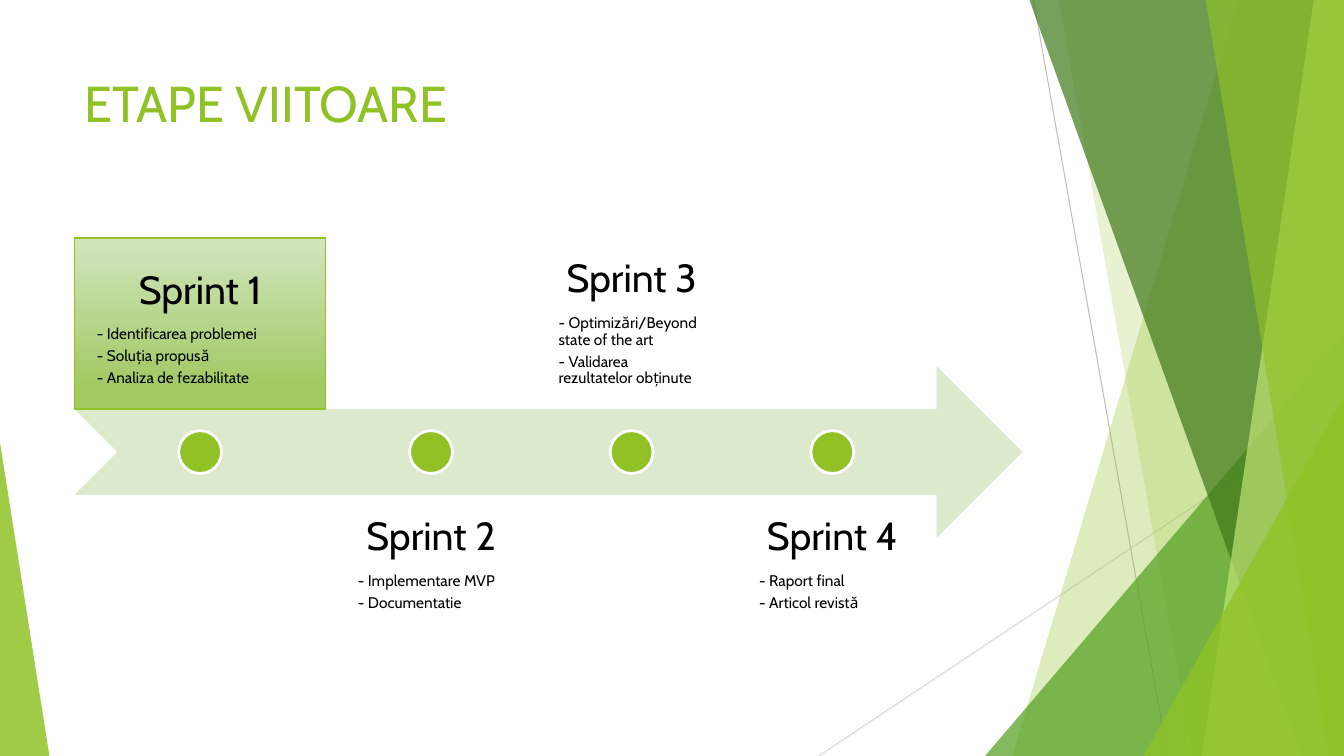
"""Build the sprint timeline slide with its faceted green backdrop."""
from lxml.etree import SubElement
from pptx import Presentation
from pptx.dml.color import RGBColor
from pptx.enum.shapes import MSO_CONNECTOR, MSO_SHAPE
from pptx.enum.text import MSO_ANCHOR, PP_ALIGN
from pptx.oxml.ns import qn
from pptx.util import Inches, Pt

HUES = dict(lime="90C226", leaf="54A021", pine="3F7819", pale="C0E474",
            band="DBE9CD", mist="D3E5BE", moss="A0C962", grey="BFBFBF",
            ash="D9D9D9", white="FFFFFF", black="000000")
FONT = "Cabin"
WIDE, HIGH = 13.33, 7.5

TITLE = "ETAPE VIITOARE"
SPRINTS = [
    ("Sprint 1", 2.49, ["- Identificarea problemei", "- Soluția propusă",
                        "- Analiza de fezabilitate"]),
    ("Sprint 2", 1.89, ["- Implementare MVP", "- Documentatie"]),
    ("Sprint 3", 1.89, ["- Optimizări/Beyond state of the art",
                        "- Validarea rezultatelor obținute"]),
    ("Sprint 4", 1.89, ["- Raport final", "- Articol revistă"]),
]
RAYS = [((10.25, 0), (11.58, HIGH), "grey"), ((WIDE, 4.03), (8.12, HIGH), "ash")]
FACETS = [
    ("slab", 12.28, 10.04, "lime", 30),
    ("slab", 10.5, 11.83, "lime", 20),
    ("peak", 9.77, 3.33, "leaf", 72),
    ("slab", 10.21, 12.91, "pine", 70),
    ("slab", 13.03, 11.92, "pale", 70),
    ("slab", 11.96, 13.18, "lime", 65),
    ("peak", 11.34, 3.93, "lime", 80),
    ("foot", 0.49, 4.39, "lime", 85),
]
LEFT, TOP, SPAN, BAND, GAP, DOT = 0.74, 2.36, 9.4, 1.7, 0.1, 0.425
ROAD = TOP + BAND * 0.75

deck = Presentation()
deck.slide_width, deck.slide_height = Inches(WIDE), Inches(HIGH)
slide = deck.slides.add_slide(deck.slide_layouts[5])
shapes = slide.shapes


def hue(name):
    return RGBColor.from_string(HUES[name])


def box(*sides):
    return [Inches(side) for side in sides]


def paint(shape, fill, line=None, width=1, alpha=100):
    shape.shadow.inherit = False
    shape.fill.solid()
    shape.fill.fore_color.rgb = hue(fill)
    if alpha < 100:
        tint = shape.fill._xPr.find(".//" + qn("a:srgbClr"))
        SubElement(tint, qn("a:alpha"), val=str(alpha * 1000))
    if line:
        shape.line.color.rgb = hue(line)
        shape.line.width = Pt(width)
    else:
        shape.line.fill.background()
    return shape


def write(frame, lines, anchor=MSO_ANCHOR.TOP, pad=None, tight=False):
    frame.word_wrap = True
    frame.vertical_anchor = anchor
    if pad is not None:
        frame.margin_left = frame.margin_right = Inches(pad)
        frame.margin_top = frame.margin_bottom = Inches(pad)
    for spot, (text, size, color, align) in enumerate(lines):
        para = frame.add_paragraph() if spot else frame.paragraphs[0]
        para.alignment = align
        if tight:
            para.line_spacing = 0.9
            para.space_after = Pt(size * 0.35)
        run = para.add_run()
        run.text = text
        run.font.name, run.font.size = FONT, Pt(size)
        run.font.color.rgb = hue(color)


def facet(kind, one, two, color, alpha):
    if kind == "slab":
        pen = shapes.build_freeform(*box(one, 0), scale=1.0)
        pen.add_line_segments([box(WIDE, 0), box(WIDE, HIGH), box(two, HIGH)])
        shape = pen.convert_to_shape()
    else:
        start, end = (one, WIDE) if kind == "peak" else (0, one)
        shape = shapes.add_shape(MSO_SHAPE.ISOSCELES_TRIANGLE,
                                 *box(start, two, end - start, HIGH - two))
        shape.adjustments[0] = 1 if kind == "peak" else 0
    paint(shape, color, alpha=alpha)


def sprint(spot, left, name, width, tasks):
    lower = spot % 2
    area = box(left, TOP + lower * BAND * 1.5, width, BAND)
    if spot == 0:
        card = paint(shapes.add_shape(MSO_SHAPE.RECTANGLE, *area), "mist", "lime")
        card.fill.gradient()
        card.fill.gradient_angle = 270
        for stop, color, place in zip(card.fill.gradient_stops, ("mist", "moss"), (0, 0.88)):
            stop.color.rgb, stop.position = hue(color), place
    lines = [(name, 28, "black", PP_ALIGN.CENTER)]
    lines += [(task, 11, "black", PP_ALIGN.LEFT) for task in tasks]
    write(shapes.add_textbox(*area).text_frame, lines, pad=0.22, tight=True,
          anchor=MSO_ANCHOR.TOP if lower else MSO_ANCHOR.BOTTOM)
    dot = box(left + (width - DOT) / 2, ROAD + (BAND - DOT) / 2, DOT, DOT)
    paint(shapes.add_shape(MSO_SHAPE.OVAL, *dot), "lime", "white", 2)


for start, end, color in RAYS:
    ray = shapes.add_connector(MSO_CONNECTOR.STRAIGHT, *box(*start, *end))
    ray.line.color.rgb, ray.line.width = hue(color), Pt(0.75)
    SubElement(ray._element.spPr, qn("a:effectLst"))
for part in FACETS:
    facet(*part)

head = shapes.title
head.left, head.top, head.width, head.height = box(LEFT, 0.67, SPAN, 1.44)
write(head.text_frame, [(TITLE, 36, "lime", PP_ALIGN.LEFT)])

road = shapes.add_shape(MSO_SHAPE.NOTCHED_RIGHT_ARROW, *box(LEFT, ROAD, SPAN, BAND))
paint(road, "band")
left = LEFT
for spot, (name, width, tasks) in enumerate(SPRINTS):
    sprint(spot, left, name, width, tasks)
    left += width + GAP

deck.save("out.pptx")
